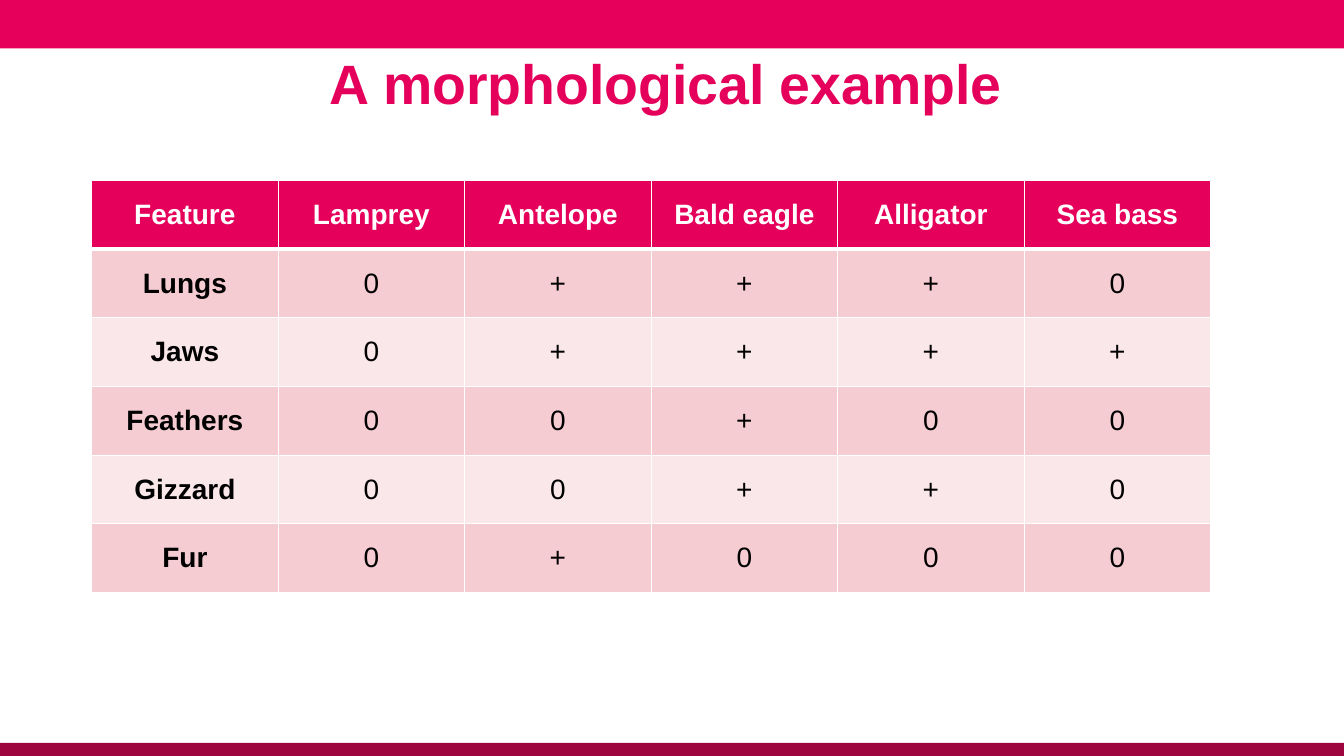
from dataclasses import dataclass

from lxml import etree
from pptx import Presentation
from pptx.dml.color import RGBColor
from pptx.enum.shapes import MSO_SHAPE
from pptx.enum.text import MSO_ANCHOR, MSO_AUTO_SIZE, PP_ALIGN
from pptx.oxml.ns import qn
from pptx.slide import Slide
from pptx.table import _Cell
from pptx.text.text import TextFrame
from pptx.util import Cm, Pt

RECT = MSO_SHAPE.RECTANGLE
MIDDLE = MSO_ANCHOR.MIDDLE
NO_AUTOFIT = MSO_AUTO_SIZE.NONE
CENTER = PP_ALIGN.CENTER

FONT = "Arial"
COLORS = {
    "bar": "E6005B",
    "footer": "9E043D",
    "accent": "E5005B",
    "odd_row": "F5CCD2",
    "even_row": "FAE7EA",
    "white": "FFFFFF",
    "black": "000000",
}
SLIDE_W, SLIDE_H = 33.87, 19.05
COL_W, ROW_H = 4.7, 1.73
HEADER = ["Feature", "Lamprey", "Antelope", "Bald eagle", "Alligator", "Sea bass"]


@dataclass
class Bar:
    top: float
    height: float
    color: str


@dataclass
class Feature:
    name: str
    states: str


BARS = [Bar(0, 1.22, "bar"), Bar(18.72, 0.33, "footer")]
FEATURES = [
    Feature("Lungs", "0+++0"),
    Feature("Jaws", "0++++"),
    Feature("Feathers", "00+00"),
    Feature("Gizzard", "00++0"),
    Feature("Fur", "0+000"),
]


def rgb(color: str) -> RGBColor:
    return RGBColor.from_string(COLORS[color])


def write_text(tf: TextFrame, text: str, *, size: float = 20, color: str = "black",
               bold: bool = False, spacing: float = 1.0) -> None:
    p = tf.paragraphs[0]
    p.alignment = CENTER
    p.line_spacing = spacing
    r = p.add_run()
    r.text = text
    r.font.name = FONT
    r.font.size = Pt(size)
    r.font.bold = bold
    r.font.color.rgb = rgb(color)


def draw_bar(s: Slide, bar: Bar) -> None:
    sp = s.shapes.add_shape(RECT, 0, Cm(bar.top), Cm(SLIDE_W), Cm(bar.height))
    sp.shadow.inherit = False
    sp.fill.solid()
    sp.fill.fore_color.rgb = rgb(bar.color)
    sp.line.fill.background()


def set_borders(cell: _Cell, top: float, bottom: float) -> None:
    tc_pr = cell._tc.get_or_add_tcPr()
    widths = {"a:lnL": 1, "a:lnR": 1, "a:lnT": top, "a:lnB": bottom}
    for i, (tag, width) in enumerate(widths.items()):
        ln = etree.Element(qn(tag), w=str(Pt(width)))
        fill = etree.SubElement(ln, qn("a:solidFill"))
        etree.SubElement(fill, qn("a:srgbClr"), val=COLORS["white"])
        tc_pr.insert(i, ln)


def draw_title(s: Slide, text: str) -> None:
    sp = s.shapes.title
    sp.left, sp.top, sp.width, sp.height = Cm(1.22), Cm(1.24), Cm(31.39), Cm(1.9)
    tf = sp.text_frame
    tf.auto_size = NO_AUTOFIT
    tf.word_wrap = True
    tf.vertical_anchor = MIDDLE
    tf.margin_left = 0
    write_text(tf, text, size=39.6, color="accent", bold=True, spacing=0.9)


def draw_table(s: Slide) -> None:
    rows = [HEADER] + [[f.name, *f.states] for f in FEATURES]
    table = s.shapes.add_table(len(rows), len(HEADER), Cm(2.31), Cm(4.55),
                               Cm(COL_W * len(HEADER)), Cm(ROW_H * len(rows))).table
    for col in table.columns:
        col.width = Cm(COL_W)
    for i, row in enumerate(rows):
        table.rows[i].height = Cm(ROW_H)
        fill = "accent" if i == 0 else "odd_row" if i % 2 else "even_row"
        for j, text in enumerate(row):
            cell = table.cell(i, j)
            cell.vertical_anchor = MIDDLE
            cell.fill.solid()
            cell.fill.fore_color.rgb = rgb(fill)
            set_borders(cell, top=3 if i == 1 else 1, bottom=3 if i == 0 else 1)
            write_text(cell.text_frame, text, bold=i == 0 or j == 0,
                       color="white" if i == 0 else "black")


def main() -> None:
    prs = Presentation()
    prs.slide_width, prs.slide_height = Cm(SLIDE_W), Cm(SLIDE_H)
    s = prs.slides.add_slide(prs.slide_layouts[5])
    for bar in BARS:
        draw_bar(s, bar)
    draw_title(s, "A morphological example")
    draw_table(s)
    prs.save("out.pptx")


if __name__ == "__main__":
    main()
